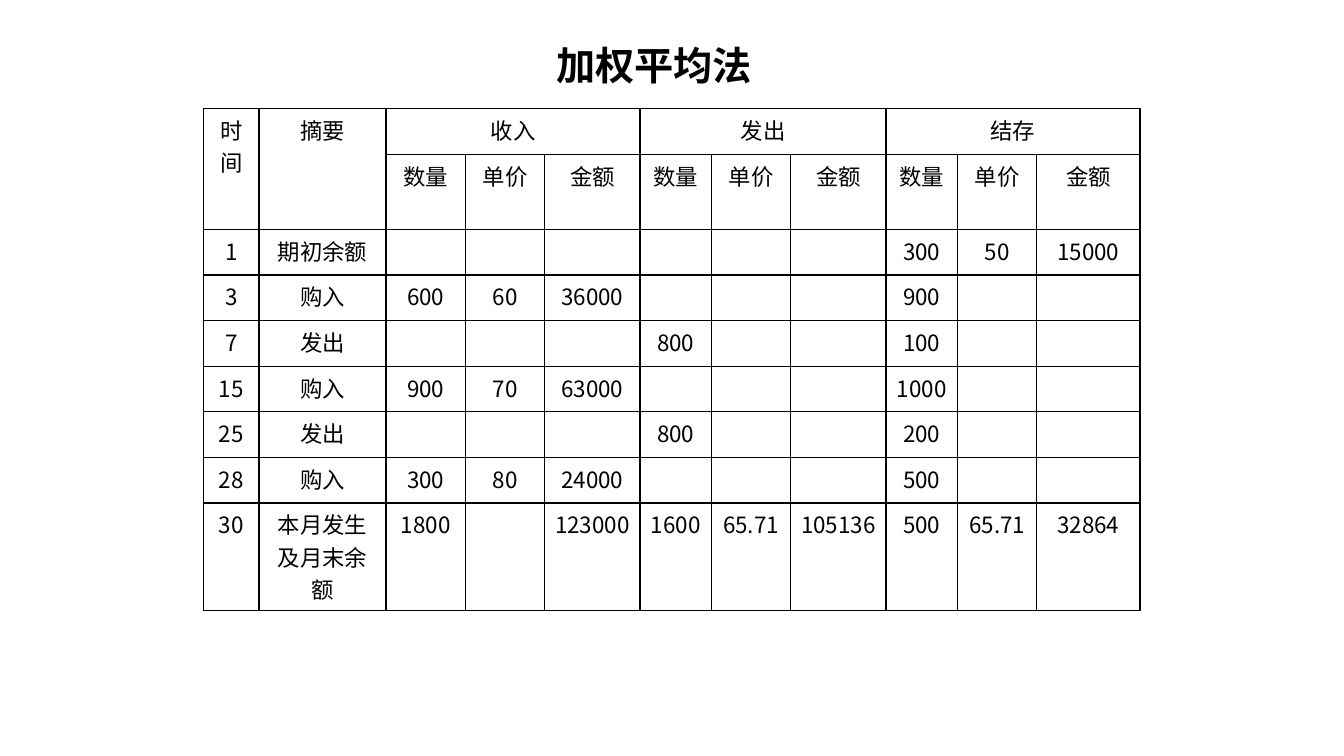
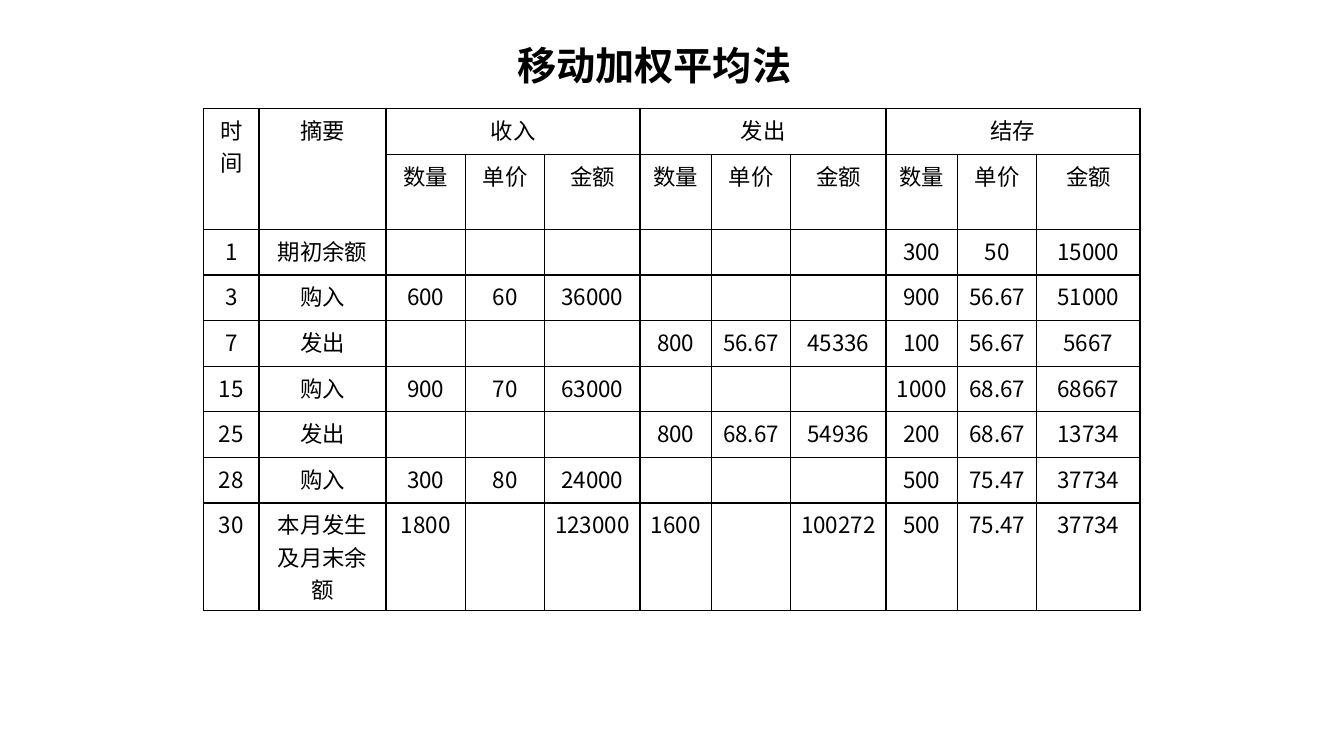
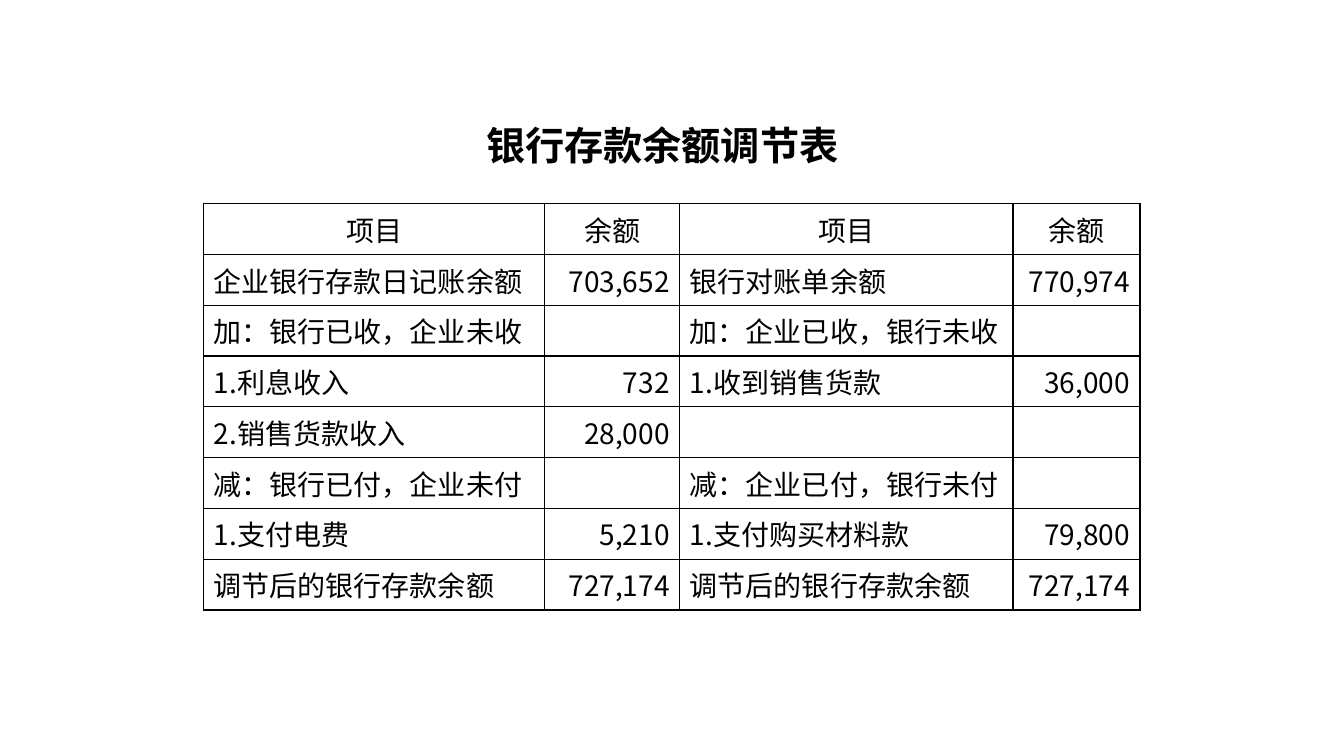
from lxml import etree
from pptx import Presentation
from pptx.dml.color import RGBColor
from pptx.enum import text
from pptx.oxml.ns import qn
from pptx.util import Cm, Pt

BLACK = RGBColor(0x00, 0x00, 0x00)
WHITE = RGBColor(0xFF, 0xFF, 0xFF)
FONT = "Noto Sans CJK SC"
LEFT, CENTER, RIGHT = text.PP_ALIGN.LEFT, text.PP_ALIGN.CENTER, text.PP_ALIGN.RIGHT

TABLE_LEFT = 5.13
LEDGER_WIDTHS = [1.4, 3.2, 2, 2, 2.4, 1.8, 2, 2.4, 1.8, 2, 2.6]
LEDGER_HEIGHTS = [1.16, 1.89] + [1.15] * 6 + [2.7]
LEDGER_MERGES = [(0, 0, 1, 0), (0, 1, 1, 1), (0, 2, 0, 4), (0, 5, 0, 7), (0, 8, 0, 10)]
LEDGER_HEADER = [
    ["时间", "摘要", "收入", "", "", "发出", "", "", "结存", "", ""],
    ["", ""] + ["数量", "单价", "金额"] * 3,
]
NONE = ("", "", "")
# day, summary, receipts (quantity, price, amount), issued quantity, balance quantity
ENTRIES = [
    ("1", "期初余额", NONE, "", "300"),
    ("3", "购入", ("600", "60", "36000"), "", "900"),
    ("7", "发出", NONE, "800", "100"),
    ("15", "购入", ("900", "70", "63000"), "", "1000"),
    ("25", "发出", NONE, "800", "200"),
    ("28", "购入", ("300", "80", "24000"), "", "500"),
    ("30", "本月发生及月末余额", ("1800", "", "123000"), "1600", "500"),
]
RECONCILIATION = [
    ("项目", "余额", "项目", "余额"),
    ("企业银行存款日记账余额", "703,652", "银行对账单余额", "770,974"),
    ("加：银行已收，企业未收", "", "加：企业已收，银行未收", ""),
    ("1.利息收入", "732", "1.收到销售货款", "36,000"),
    ("2.销售货款收入", "28,000", "", ""),
    ("减：银行已付，企业未付", "", "减：企业已付，银行未付", ""),
    ("1.支付电费", "5,210", "1.支付购买材料款", "79,800"),
    ("调节后的银行存款余额", "727,174", "调节后的银行存款余额", "727,174"),
]


class Deck:
    def __init__(self):
        self.presentation = Presentation()
        self.presentation.slide_width = Cm(33.87)
        self.presentation.slide_height = Cm(19.05)
        self.slide = None

    def new_slide(self):
        self.slide = self.presentation.slides.add_slide(self.presentation.slide_layouts[6])
        fill = self.slide.background.fill
        fill.solid()
        fill.fore_color.rgb = WHITE

    def format_paragraph(self, paragraph, size, alignment, bold=False):
        paragraph.alignment = alignment
        for run in paragraph.runs:
            run.font.size = Pt(size)
            run.font.bold = bold
            run.font.color.rgb = BLACK
            run.font.name = FONT
            etree.SubElement(run._r.get_or_add_rPr(), qn("a:ea"), typeface=FONT)
        if not paragraph.runs:
            etree.SubElement(paragraph._p, qn("a:endParaRPr"), sz=str(size * 100))

    def title(self, wording, left, top):
        box = self.slide.shapes.add_textbox(Cm(left), Cm(top), Cm(18.3), Cm(1.98))
        box.text_frame.word_wrap = True
        box.text_frame.text = wording
        self.format_paragraph(box.text_frame.paragraphs[0], 28, CENTER, bold=True)

    def border_cell(self, cell):
        properties = cell._tc.get_or_add_tcPr()
        for index, side in enumerate(("lnL", "lnR", "lnT", "lnB")):
            line = etree.Element(qn("a:" + side), w=str(Pt(1)))
            fill = etree.SubElement(line, qn("a:solidFill"))
            etree.SubElement(fill, qn("a:srgbClr"), val=str(BLACK))
            properties.insert(index, line)

    def table(self, rows, top, widths, heights, size, alignment_of, merges=()):
        """Draw a ruled table; alignment_of(row, column) gives each cell's alignment."""
        frame = self.slide.shapes.add_table(
            len(rows), len(widths), Cm(TABLE_LEFT), Cm(top), Cm(sum(widths)), Cm(sum(heights)))
        table = frame.table
        table.first_row = table.horz_banding = False
        for column, width in zip(table.columns, widths):
            column.width = Cm(width)
        for row, height in zip(table.rows, heights):
            row.height = Cm(height)
        for first_row, first_column, last_row, last_column in merges:
            table.cell(first_row, first_column).merge(table.cell(last_row, last_column))
        for i, values in enumerate(rows):
            for j, value in enumerate(values):
                cell = table.cell(i, j)
                cell.fill.background()
                self.border_cell(cell)
                if value:
                    cell.text_frame.text = value
                self.format_paragraph(cell.text_frame.paragraphs[0], size, alignment_of(i, j))


def add_ledger(deck, title, issue_costs, balance_costs):
    """Add a stock ledger; the costs map a day to its (price, amount)."""
    rows = list(LEDGER_HEADER)
    for day, summary, receipt, issued, balance in ENTRIES:
        rows.append([day, summary, *receipt,
                     issued, *issue_costs.get(day, ("", "")),
                     balance, *balance_costs.get(day, ("", ""))])
    deck.new_slide()
    deck.table(rows, 2.73, LEDGER_WIDTHS, LEDGER_HEIGHTS, 16,
               lambda row, column: CENTER, LEDGER_MERGES)
    deck.title(title, 7.34, 0.91)


def reconciliation_alignment(row, column):
    if row == 0:
        return CENTER
    return RIGHT if column % 2 else LEFT


def main():
    deck = Deck()
    add_ledger(
        deck, "加权平均法",
        {"30": ("65.71", "105136")},
        {"1": ("50", "15000"), "30": ("65.71", "32864")})
    add_ledger(
        deck, "移动加权平均法",
        {"7": ("56.67", "45336"), "25": ("68.67", "54936"), "30": ("", "100272")},
        {"1": ("50", "15000"), "3": ("56.67", "51000"), "7": ("56.67", "5667"),
         "15": ("68.67", "68667"), "25": ("68.67", "13734"),
         "28": ("75.47", "37734"), "30": ("75.47", "37734")})
    deck.new_slide()
    deck.table(RECONCILIATION, 5.13, [8.6, 3.4, 8.4, 3.2], [1.28] * len(RECONCILIATION),
               20, reconciliation_alignment)
    deck.title("银行存款余额调节表", 7.54, 2.92)
    deck.presentation.save("out.pptx")


if __name__ == "__main__":
    main()
